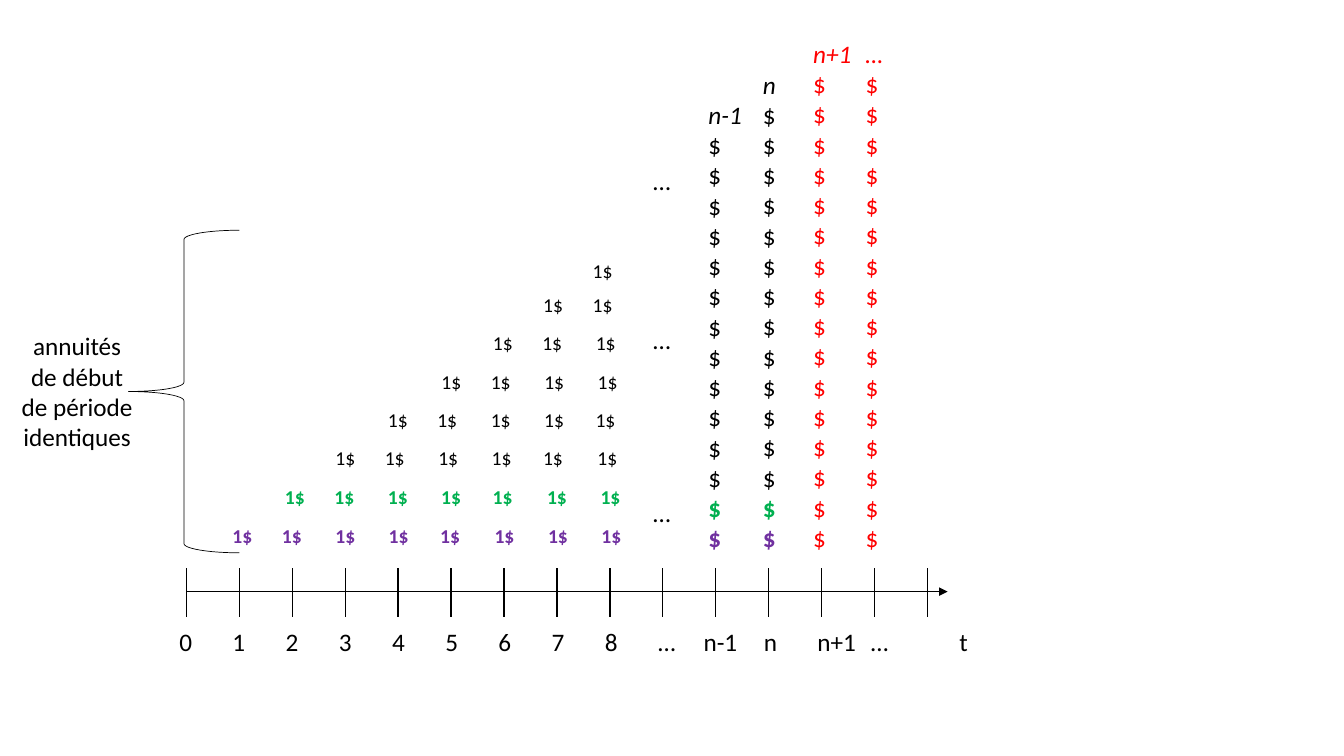
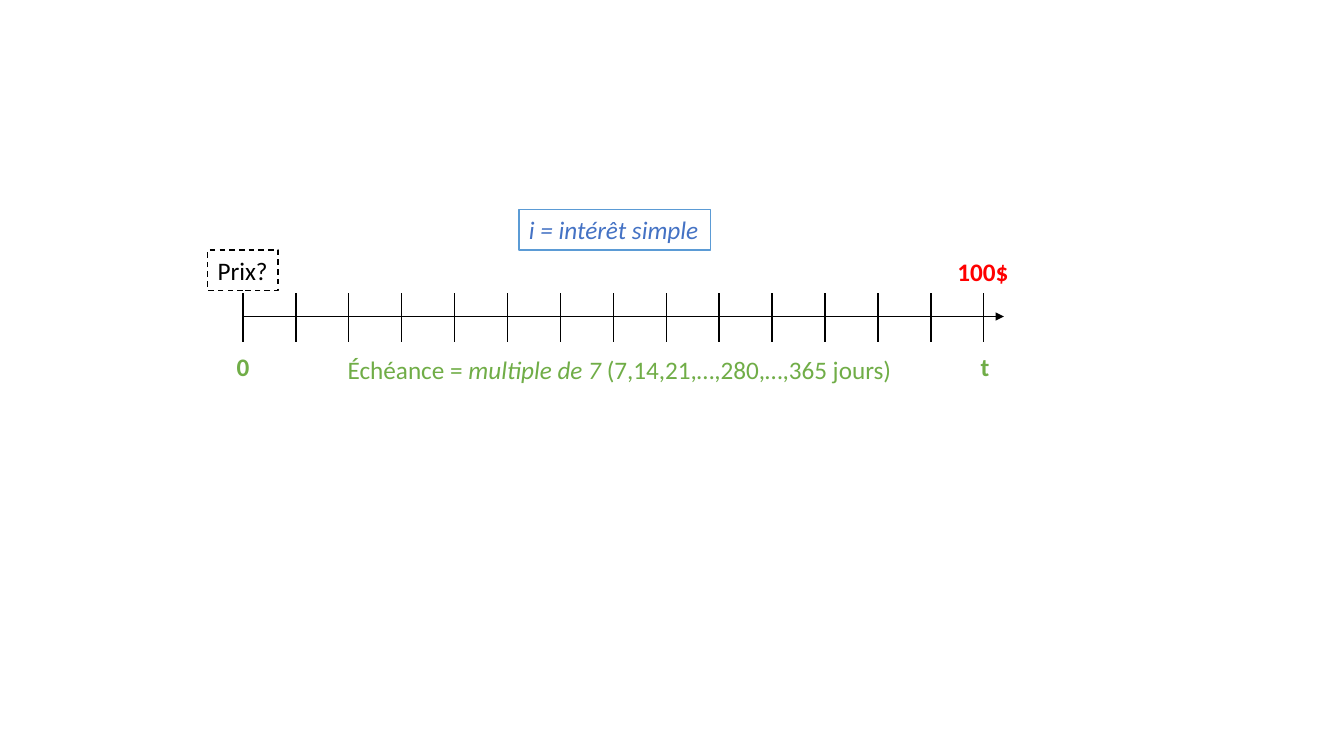
"""Builds two timeline slides: stacked annuities and the price of a discount bill."""
from lxml import etree
from pptx import Presentation
from pptx.dml.color import RGBColor
from pptx.enum import dml, shapes, text
from pptx.oxml.ns import qn
from pptx.util import Pt

BLACK = RGBColor(0x00, 0x00, 0x00)
WHITE = RGBColor(0xFF, 0xFF, 0xFF)
RED = RGBColor(0xFF, 0x00, 0x00)
PURPLE = RGBColor(0x70, 0x30, 0xA0)
GREEN = RGBColor(0x00, 0xB0, 0x50)
LEAF = RGBColor(0x70, 0xAD, 0x47)
SKY = RGBColor(0x5B, 0x9B, 0xD5)
BLUE = RGBColor(0x44, 0x72, 0xC4)

FONT = "Calibri"
LABEL_SIZE = 18
PAYMENT_SIZE = 14
LABEL_HEIGHT = 28.8

AXIS_LENGTH = 543.6
TICK_COUNT = 15
TICK_GAP = 37.8
TICK_ABOVE = 16.6
TICK_BELOW = 18

PERIOD_LEFT = 121
PERIOD_GAP = 38
PERIOD_TOP = 443.8
LATE_PERIODS = [
    ("…", 463, 27.4), ("n-1", 495.5, 38.9), ("n", 538.6, 24.5),
    ("n+1", 576.8, 42.5), ("…", 615, 27.4), ("t", 678.2, 20.9),
]

PAYMENT_OFFSETS = [0, 35.3, 73.5, 111.6, 148.3, 187.2, 225.4, 263.5]
PAYMENT_ROWS = [
    (159, 370.8, PURPLE, True), (196.5, 342.7, GREEN, True),
    (232.5, 314.8, BLACK, False), (270, 288, BLACK, False),
    (308.2, 260.6, BLACK, False), (345, 232.7, BLACK, False),
    (380.9, 206, BLACK, False), (416.2, 181.4, BLACK, False),
]

STACK_BOTTOM = 424
STACK_LINE = 21.8
STACK_TALLEST = 16
STACK_TOP = 23.8
STACKS = [
    ("n-1", 499, 38.9, BLACK, [BLACK] * 12 + [GREEN, PURPLE]),
    ("n", 537.8, 23.8, BLACK, [BLACK] * 13 + [GREEN, PURPLE]),
    ("n+1", 573.8, 42.5, RED, [RED] * 16),
    ("…", 611.3, 27.4, RED, [RED] * 16),
]
GAP_LEFT = 459.4
GAP_TOPS = [114.5, 228.2, 351.4]


def run(words, color=BLACK, bold=False, italic=False):
    return words, color, bold, italic


def fill_text(shape, paragraphs, size=LABEL_SIZE, wrap=False, align=text.PP_ALIGN.LEFT):
    frame = shape.text_frame
    frame.word_wrap = wrap
    frame.auto_size = text.MSO_AUTO_SIZE.SHAPE_TO_FIT_TEXT
    for index, runs in enumerate(paragraphs):
        paragraph = frame.add_paragraph() if index else frame.paragraphs[0]
        paragraph.alignment = align
        for words, color, bold, italic in runs:
            piece = paragraph.add_run()
            piece.text = words
            piece.font.name = FONT
            piece.font.size = Pt(size)
            piece.font.color.rgb = color
            piece.font.bold = bold
            piece.font.italic = italic


def add_label(slide, box, *paragraphs, **style):
    fill_text(slide.shapes.add_textbox(*map(Pt, box)), paragraphs, **style)


def add_outlined(slide, kind, box, color, width):
    shape = slide.shapes.add_shape(kind, *map(Pt, box))
    shape.shadow.inherit = False
    shape.line.color.rgb = color
    shape.line.width = Pt(width)
    return shape


def add_box(slide, box, words, line_color):
    shape = add_outlined(slide, shapes.MSO_SHAPE.RECTANGLE, box, line_color, 1)
    shape.fill.solid()
    shape.fill.fore_color.rgb = WHITE
    fill_text(shape, [[words]])
    return shape


def add_line(slide, *ends):
    line = slide.shapes.add_connector(shapes.MSO_CONNECTOR.STRAIGHT, *map(Pt, ends))
    line.line.color.rgb = BLACK
    line.line.width = Pt(1)
    etree.SubElement(line._element.spPr, qn("a:effectLst"))
    return line


def add_timeline(slide, left, axis):
    arrow = add_line(slide, left, axis, left + AXIS_LENGTH, axis)
    etree.SubElement(arrow.line._get_or_add_ln(), qn("a:tailEnd"), type="triangle")
    for index in range(TICK_COUNT):
        x = left + index * TICK_GAP
        add_line(slide, x, axis - TICK_ABOVE, x, axis + TICK_BELOW)


def build_annuities(slide):
    add_timeline(slide, 133.2, 422.6)
    periods = [(str(n), PERIOD_LEFT + n * PERIOD_GAP, 23.8) for n in range(9)]
    for words, left, width in periods + LATE_PERIODS:
        add_label(slide, (left, PERIOD_TOP, width, LABEL_HEIGHT), [run(words)])
    for row, (start, top, color, bold) in enumerate(PAYMENT_ROWS):
        for offset in PAYMENT_OFFSETS[:len(PAYMENT_ROWS) - row]:
            add_label(slide, (start + offset, top, 28.8, 24.2),
                      [run("1$", color, bold)], size=PAYMENT_SIZE)
    for heading, left, width, color, dollars in STACKS:
        top = STACK_TOP + (STACK_TALLEST - len(dollars)) * STACK_LINE
        add_label(slide, (left, top, width, STACK_BOTTOM - top),
                  [run(heading, color, italic=True)],
                  *[[run("$", shade, shade in (GREEN, PURPLE))] for shade in dollars])
    for top in GAP_TOPS:
        add_label(slide, (GAP_LEFT, top, 27.4, LABEL_HEIGHT), [run("…")])
    brace = add_outlined(slide, shapes.MSO_SHAPE.LEFT_BRACE, (91.8, 164.5, 79.2, 230.4), BLACK, 0.5)
    brace.fill.background()
    add_label(slide, (7.2, 232.6, 95.8, 94.3),
              [run("annuités de début de période identiques")],
              wrap=True, align=text.PP_ALIGN.CENTER)


def build_bill(slide):
    add_timeline(slide, 173.5, 226.1)
    add_label(slide, (162, 247.2, 23.8, LABEL_HEIGHT), [run("0", LEAF, bold=True)])
    add_label(slide, (693.4, 247.7, 20.9, LABEL_HEIGHT), [run("t", LEAF, bold=True)])
    add_label(slide, (676.8, 179.3, 51.1, LABEL_HEIGHT), [run("100$", RED, bold=True)])
    price = add_box(slide, (148.3, 178.6, 50.4, LABEL_HEIGHT), run("Prix?"), BLACK)
    price.line.dash_style = dml.MSO_LINE.DASH
    add_label(slide, (241.2, 249.8, 409, LABEL_HEIGHT),
              [run("Échéance = ", LEAF), run("multiple de 7 ", LEAF, italic=True),
               run("(7,14,21,…,280,…,365 jours)", LEAF)])
    add_box(slide, (370.8, 149.8, 136.8, LABEL_HEIGHT),
            run("i = intérêt simple", BLUE, italic=True), SKY)


def main():
    presentation = Presentation()
    presentation.slide_width = Pt(960)
    presentation.slide_height = Pt(540)
    for build in (build_annuities, build_bill):
        build(presentation.slides.add_slide(presentation.slide_layouts[6]))
    presentation.save("out.pptx")


if __name__ == "__main__":
    main()
